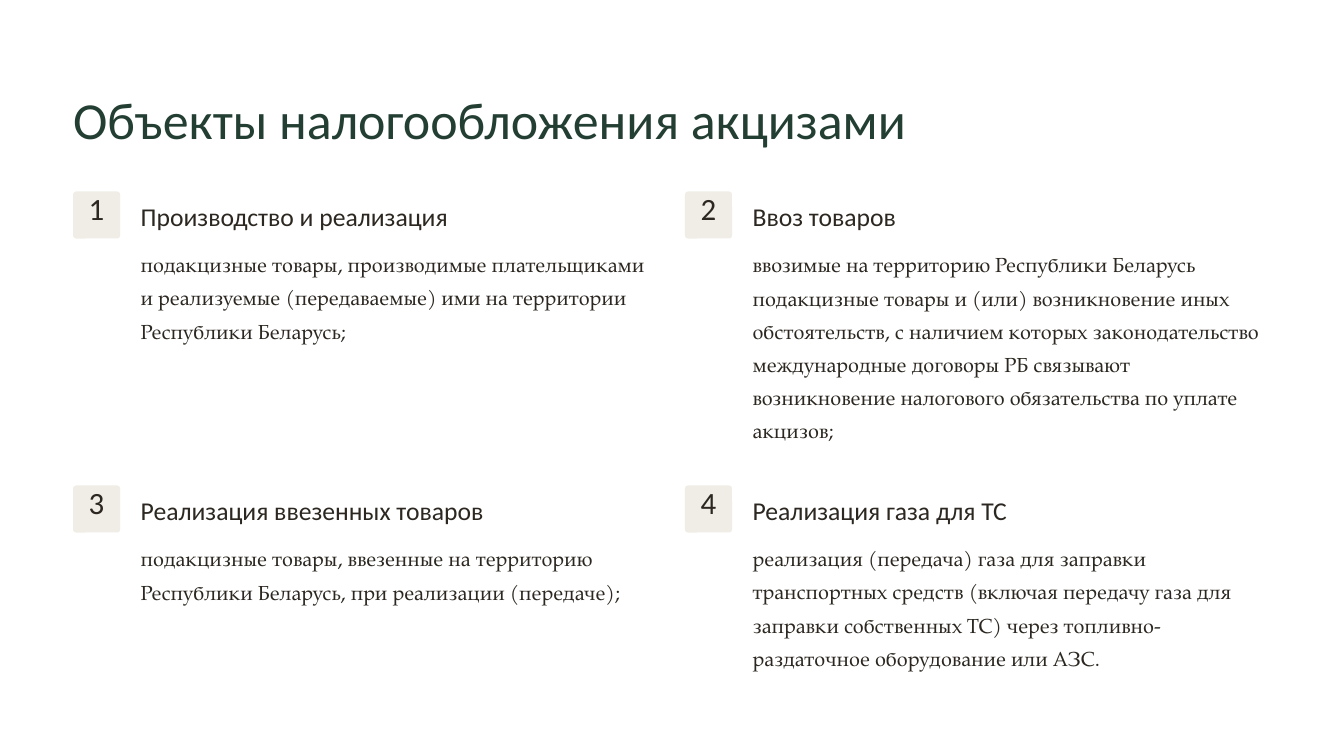
from pptx import Presentation
from pptx.dml.color import RGBColor
from pptx.enum.shapes import MSO_SHAPE
from pptx.enum.text import MSO_ANCHOR, MSO_AUTO_SIZE, PP_ALIGN
from pptx.util import Inches, Pt

GREEN = RGBColor(0x23, 0x3E, 0x32)
INK = RGBColor(0x2C, 0x28, 0x21)
SAND = RGBColor(0xF0, 0xED, 0xE6)
WHITE = RGBColor(0xFF, 0xFF, 0xFF)

ROUND = MSO_SHAPE.ROUNDED_RECTANGLE
TOP = MSO_ANCHOR.TOP
NO_FIT = MSO_AUTO_SIZE.NONE
LEFT, CENTER = PP_ALIGN.LEFT, PP_ALIGN.CENTER

SANS, SERIF = "Calibri", "TeX Gyre Pagella"
BODY_STEP = 28.5

# font size, font name, colour, line pitch, alignment
TITLE = (44.5, SANS, GREEN, 55.5, LEFT)
DIGIT = (26.5, SANS, INK, 26.5, CENTER)
HEAD = (22, SANS, INK, 27.5, LEFT)
BODY = (17.5, SERIF, INK, BODY_STEP, LEFT)

FRAME = {
    "margin_left": 0, "margin_top": 0, "margin_right": 0, "margin_bottom": 0,
    "word_wrap": True, "auto_size": NO_FIT, "vertical_anchor": TOP,
}

# heading, heading width, body text, body lines
ITEMS = [
    ("Производство и реализация", 4.12,
     "подакцизные товары, производимые плательщиками и реализуемые "
     "(передаваемые) ими на территории Республики Беларусь;", 3),
    ("Ввоз товаров", 3.1,
     "ввозимые на территорию Республики Беларусь подакцизные товары и (или) "
     "возникновение иных обстоятельств, с наличием которых законодательство "
     "международные договоры РБ связывают возникновение налогового "
     "обязательства по уплате акцизов;", 6),
    ("Реализация ввезенных товаров", 4.61,
     "подакцизные товары, ввезенные на территорию Республики Беларусь, "
     "при реализации (передаче);", 2),
    ("Реализация газа для ТС", 3.47,
     "реализация (передача) газа для заправки транспортных средств (включая "
     "передачу газа для заправки собственных ТС) через "
     "топливно-раздаточное оборудование или АЗС.", 4),
]


def set_all(target, values):
    for name, value in values.items():
        setattr(target, name, value)


def write(shape, text, style):
    size, face, color, step, align = style
    frame = shape.text_frame
    frame.text = text
    set_all(frame, FRAME)
    para = frame.paragraphs[0]
    set_all(para, {"line_spacing": Pt(step), "alignment": align,
                   "space_before": Pt(0)})
    font = para.runs[0].font
    set_all(font, {"size": Pt(size), "name": face})
    font.color.rgb = color


def add_text(slide, box, text, style):
    write(slide.shapes.add_textbox(*map(Inches, box)), text, style)


def add_title(slide, box, text):
    title = slide.shapes.title
    names = ("left", "top", "width", "height")
    set_all(title, dict(zip(names, map(Inches, box))))
    write(title, text, TITLE)


def add_badge(slide, x, y, size, label):
    badge = slide.shapes.add_shape(ROUND, *map(Inches, (x, y, size, size)))
    badge.adjustments[0] = 0.067
    badge.shadow.inherit = False
    badge.fill.solid()
    badge.fill.fore_color.rgb = SAND
    badge.line.fill.background()
    add_text(slide, (x + 0.095, y + 0.05, 0.37, 0.47), label, DIGIT)


def add_item(slide, x, y, width, label, item):
    head, head_width, body, lines = item
    indent = 0.805
    add_badge(slide, x, y, 0.56, label)
    add_text(slide, (x + indent, y + 0.09, head_width, 0.39), head, HEAD)
    add_text(slide, (x + indent, y + 0.62, width - indent,
                     lines * BODY_STEP / 72), body, BODY)


def add_grid(slide, x, y, width, pitch, gap):
    """Place the items in two columns, row by row."""
    col = (width - gap) / 2
    for i, item in enumerate(ITEMS):
        row, side = divmod(i, 2)
        add_item(slide, x + side * (col + gap), y + row * pitch, col,
                 str(i + 1), item)


def main():
    deck = Presentation()
    deck.slide_width, deck.slide_height = Inches(16), Inches(9)
    slide = deck.slides.add_slide(deck.slide_layouts[5])
    slide.background.fill.solid()
    slide.background.fill.fore_color.rgb = WHITE
    add_title(slide, (0.87, 1.01, 11.12, 0.78),
              "Объекты налогообложения акцизами")
    add_grid(slide, 0.87, 2.28, 14.26, 3.5, 0.31)
    deck.save("out.pptx")


if __name__ == "__main__":
    main()
